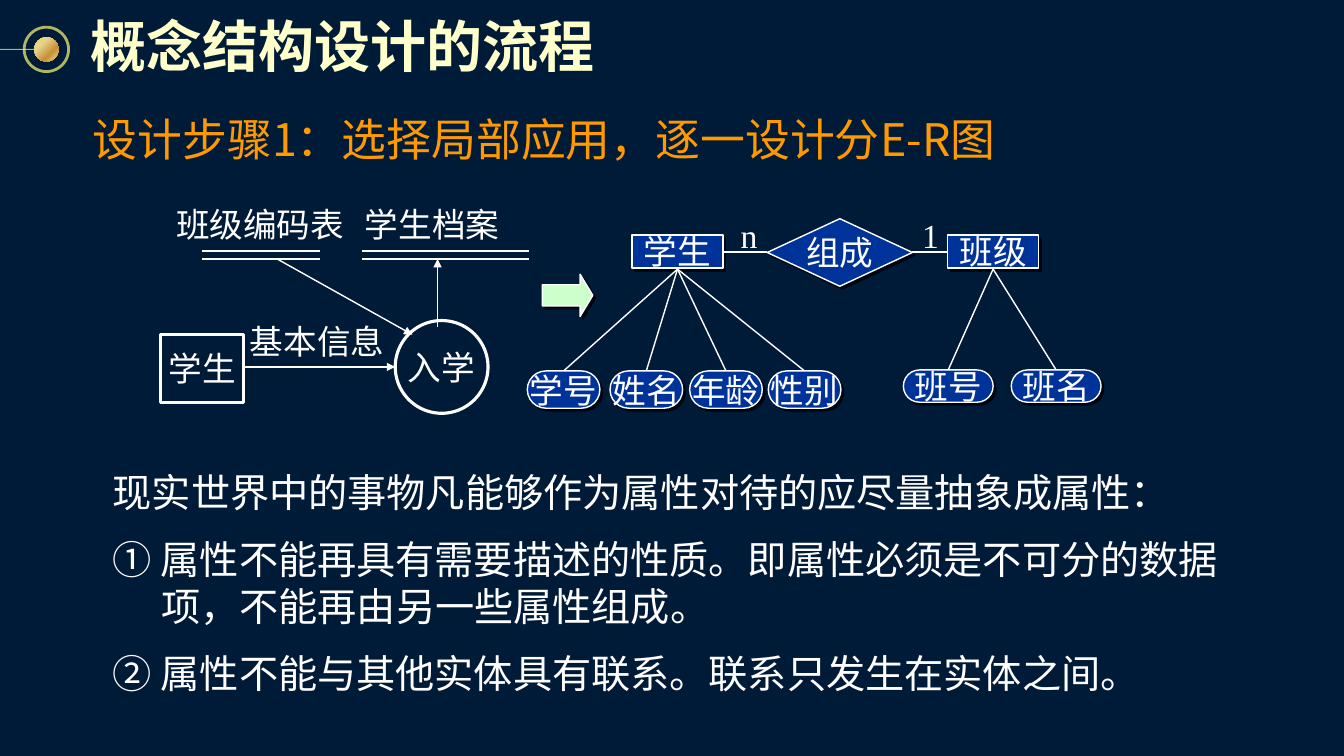
import pptx
import pptx.dml.color
import pptx.enum.shapes
import pptx.enum.text
import pptx.oxml
import pptx.oxml.ns
import pptx.util
from pptx.util import Inches

SHAPE = pptx.enum.shapes.MSO_SHAPE
ALIGN = pptx.enum.text.PP_ALIGN
ANCHOR = pptx.enum.text.MSO_ANCHOR
CJK = "Noto Sans CJK SC"
SERIF = "Times New Roman"
WHITE, NAVY, GOLD = "FFFFFF", "003399", "FCF873"
NS = pptx.oxml.ns.nsdecls("a")


def rgb(value):
    """Return the colour for a hex string."""
    return pptx.dml.color.RGBColor.from_string(value)


def element(xml):
    """Parse one drawing element whose first tag takes the namespace."""
    head, tail = xml.split(">", 1)
    slash = "/" if head.endswith("/") else ""
    return pptx.oxml.parse_xml(f"{head.rstrip('/')} {NS}{slash}>{tail}")


def shadow_xml():
    """Return the hard offset shadow as XML."""
    return ('<a:outerShdw blurRad="0" dist="35921" dir="2700000" algn="ctr" rotWithShape="0">'
            '<a:srgbClr val="000514"/></a:outerShdw>')


def set_font(font, size, name, color, bold=False):
    """Set size, typeface, colour and weight of a font."""
    font.size, font.name, font.bold = pptx.util.Pt(size), name, bold
    font.color.rgb = rgb(color)
    font._element.find(pptx.oxml.ns.qn("a:latin")).addnext(
        element(f'<a:ea typeface="{CJK}"/>'))


def set_label(sp, text, anchor=ANCHOR.MIDDLE):
    """Write one centred line with no insets into a shape."""
    tf = sp.text_frame
    tf.word_wrap, tf.vertical_anchor = False, anchor
    tf.margin_left = tf.margin_right = tf.margin_top = tf.margin_bottom = 0
    p = tf.paragraphs[0]
    p.text, p.alignment = text, ALIGN.CENTER
    set_font(p.font, 24, SERIF, WHITE)


def add_label(s, text, x, y, w, h, anchor=ANCHOR.TOP):
    """Add a free-standing diagram label."""
    set_label(s.shapes.add_textbox(Inches(x), Inches(y), Inches(w), Inches(h)), text, anchor)


def add_node(s, kind, x, y, w, h, text="", fill=None, line=WHITE, width=1.0):
    """Add a diagram shape; filled ones cast a hard shadow."""
    sp = s.shapes.add_shape(kind, Inches(x), Inches(y), Inches(w), Inches(h))
    sp.shadow.inherit = False
    if kind == SHAPE.ROUNDED_RECTANGLE:
        sp.adjustments[0] = 0.5
    if fill:
        sp.fill.solid()
        sp.fill.fore_color.rgb = rgb(fill)
        effects = sp._element.spPr.find(pptx.oxml.ns.qn("a:effectLst"))
        effects.append(element(shadow_xml()))
    else:
        sp.fill.background()
    sp.line.color.rgb = rgb(line)
    sp.line.width = pptx.util.Pt(width)
    if text:
        set_label(sp, text)
    return sp


def add_line(s, x1, y1, x2, y2, arrow=False, color=WHITE, width=1.0):
    """Add a straight line, optionally ending in an arrowhead."""
    c = s.shapes.add_connector(pptx.enum.shapes.MSO_CONNECTOR.STRAIGHT,
                               Inches(x1), Inches(y1), Inches(x2), Inches(y2))
    c.line.color.rgb = rgb(color)
    c.line.width = pptx.util.Pt(width)
    if arrow:
        c.line._get_or_add_ln().append(element('<a:tailEnd type="triangle"/>'))
    c._element.spPr.append(element("<a:effectLst/>"))
    return c


def add_ornament(s, x, y):
    """Draw the ringed gold ball and its lead-in line."""
    ring = add_node(s, SHAPE.OVAL, x, y, 0.44, 0.44, line=GOLD, width=2)
    lead = add_line(s, 0, y + 0.22, x + 0.1, y + 0.22, color=GOLD, width=0.75)
    for sp in (ring, lead):
        color = sp.line._get_or_add_ln().find(".//" + pptx.oxml.ns.qn("a:srgbClr"))
        color.append(element('<a:alpha val="70000"/>'))
    ball = add_node(s, SHAPE.OVAL, x + 0.1, y + 0.1, 0.24, 0.24)
    ball.rotation = 270
    ball.line.fill.background()
    stops = [(0, "FCD860"), (31, "E6D38F"), (68, "C69135"), (100, "F1DF97")]
    gs = "".join(f'<a:gs pos="{pos * 1000}"><a:srgbClr val="{c}"/></a:gs>' for pos, c in stops)
    no_fill = ball._element.spPr.find(pptx.oxml.ns.qn("a:noFill"))
    no_fill.addnext(element(f'<a:gradFill rotWithShape="1"><a:gsLst>{gs}</a:gsLst>'
                            '<a:lin ang="8100000" scaled="1"/></a:gradFill>'))
    ball._element.spPr.remove(no_fill)


def add_headings(s, x, y):
    """Write the shadowed slide title and the step heading."""
    tf = s.shapes.add_textbox(Inches(x), Inches(y), Inches(5.21), Inches(0.83)).text_frame
    tf.word_wrap, tf.vertical_anchor = False, ANCHOR.MIDDLE
    tf.margin_left = tf.margin_right = tf.margin_top = tf.margin_bottom = Inches(0.08)
    r = tf.paragraphs[0].add_run()
    r.text = "概念结构设计的流程"
    set_font(r.font, 40, "Arial", "FFFFCC", True)
    r.font._element.find(pptx.oxml.ns.qn("a:latin")).addprevious(
        element(f"<a:effectLst>{shadow_xml()}</a:effectLst>"))
    tf = s.shapes.add_textbox(Inches(x), Inches(y + 1.02), Inches(9.8), Inches(0.64)).text_frame
    tf.word_wrap, tf.vertical_anchor = True, ANCHOR.MIDDLE
    p = tf.paragraphs[0]
    p.text = "设计步骤1：选择局部应用，逐一设计分E-R图"
    set_font(p.font, 32, CJK, "FF9900")


def add_data_flow(s, x, y):
    """Draw the enrolment data flow diagram."""
    stores = [("班级编码表", 0.15, 1.68, 0.41, 1.17), ("学生档案", 2.02, 1.35, 2.0, 1.66)]
    for text, left, w, rule_left, rule_w in stores:
        for dy in (0.47, 0.55):
            add_line(s, x + rule_left, y + dy, x + rule_left + rule_w, y + dy)
        add_label(s, text, x + left, y, w, 0.4)
    add_node(s, SHAPE.RECTANGLE, x, y + 1.3, 0.83, 0.67, "学生", width=2.25)
    add_node(s, SHAPE.OVAL, x + 2.33, y + 1.16, 0.92, 0.92, "入学", width=2.25)
    add_label(s, "基本信息", x + 0.88, y + 1.16, 1.35, 0.4)
    for x1, y1, x2, y2 in [(2.75, 1.22, 2.75, 0.55), (0.83, 1.62, 2.33, 1.62),
                           (1.16, 0.55, 2.5, 1.3)]:
        add_line(s, x + x1, y + y1, x + x2, y + y2, arrow=True)


def add_entity(s, name, x, y, attributes, lefts, top, w, h):
    """Draw an entity with its attributes fanned out below."""
    add_node(s, SHAPE.RECTANGLE, x, y, 0.9, 0.33, name, NAVY)
    for text, left in zip(attributes, lefts):
        add_node(s, SHAPE.ROUNDED_RECTANGLE, x + left, y + top, w, h, text, NAVY)
        add_line(s, x + 0.45, y + 0.34, x + left + w / 2, y + top)


def add_er_diagram(s, x, y):
    """Draw the student and class entities joined by a relation."""
    add_entity(s, "学生", x, y + 0.16, ["学号", "姓名", "年龄", "性别"],
               [-1.04, -0.22, 0.57, 1.35], 1.35, 0.72, 0.37)
    add_entity(s, "班级", x + 3.13, y + 0.16, ["班号", "班名"], [-0.44, 0.63], 1.34, 0.89, 0.32)
    add_node(s, SHAPE.DIAMOND, x + 1.34, y, 1.44, 0.67, "组成", NAVY)
    for text, left, start, end in [("n", 0.89, 0.9, 1.34), ("1", 2.69, 2.78, 3.13)]:
        add_line(s, x + start, y + 0.33, x + end, y + 0.33)
        add_label(s, text, x + left, y, 0.54, 0.33, ANCHOR.MIDDLE)


def add_rules(s, x, y, w, h):
    """Write the rules for choosing attributes."""
    rules = [("现实世界中的事物凡能够作为属性对待的应尽量抽象成属性：", 0.41),
             ("① 属性不能再具有需要描述的性质。即属性必须是不可分的数据项，不能再由另一些属性组成。", 0.48),
             ("② 属性不能与其他实体具有联系。联系只发生在实体之间。", 0.41)]
    tf = s.shapes.add_textbox(Inches(x), Inches(y), Inches(w), Inches(h)).text_frame
    tf.word_wrap = True
    for i, (text, indent) in enumerate(rules):
        p = tf.add_paragraph() if i else tf.paragraphs[0]
        p.text = text
        if i:
            p.space_before = pptx.util.Pt(14)
        pPr = p._p.get_or_add_pPr()
        pPr.set("marL", str(Inches(indent)))
        pPr.set("indent", str(-Inches(indent)))
        set_font(p.font, 28, CJK, WHITE)


def main():
    """Build the slide and save it."""
    prs = pptx.Presentation()
    prs.slide_width, prs.slide_height = Inches(13.33), Inches(7.5)
    s = prs.slides.add_slide(prs.slide_layouts[6])
    s.background.fill.solid()
    s.background.fill.fore_color.rgb = rgb("001B37")
    add_ornament(s, 0.24, 0.27)
    add_headings(s, 0.82, 0.03)
    add_data_flow(s, 1.59, 2.02)
    add_er_diagram(s, 6.27, 2.17)
    arrow = add_node(s, SHAPE.RIGHT_ARROW, 5.38, 2.72, 0.5, 0.42, fill="CCFFCC")
    arrow.adjustments[1] = 0.3
    add_rules(s, 1.02, 4.6, 11.49, 2.4)
    prs.save("out.pptx")


if __name__ == "__main__":
    main()
